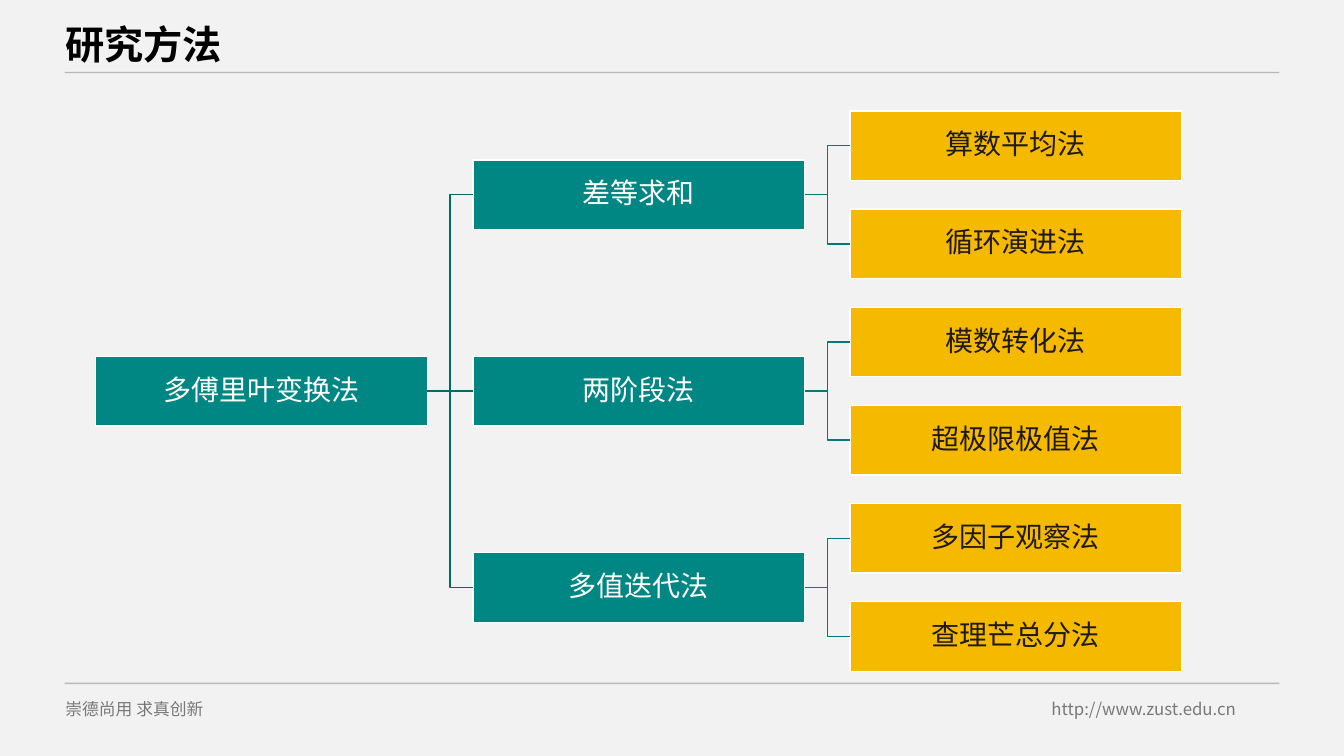
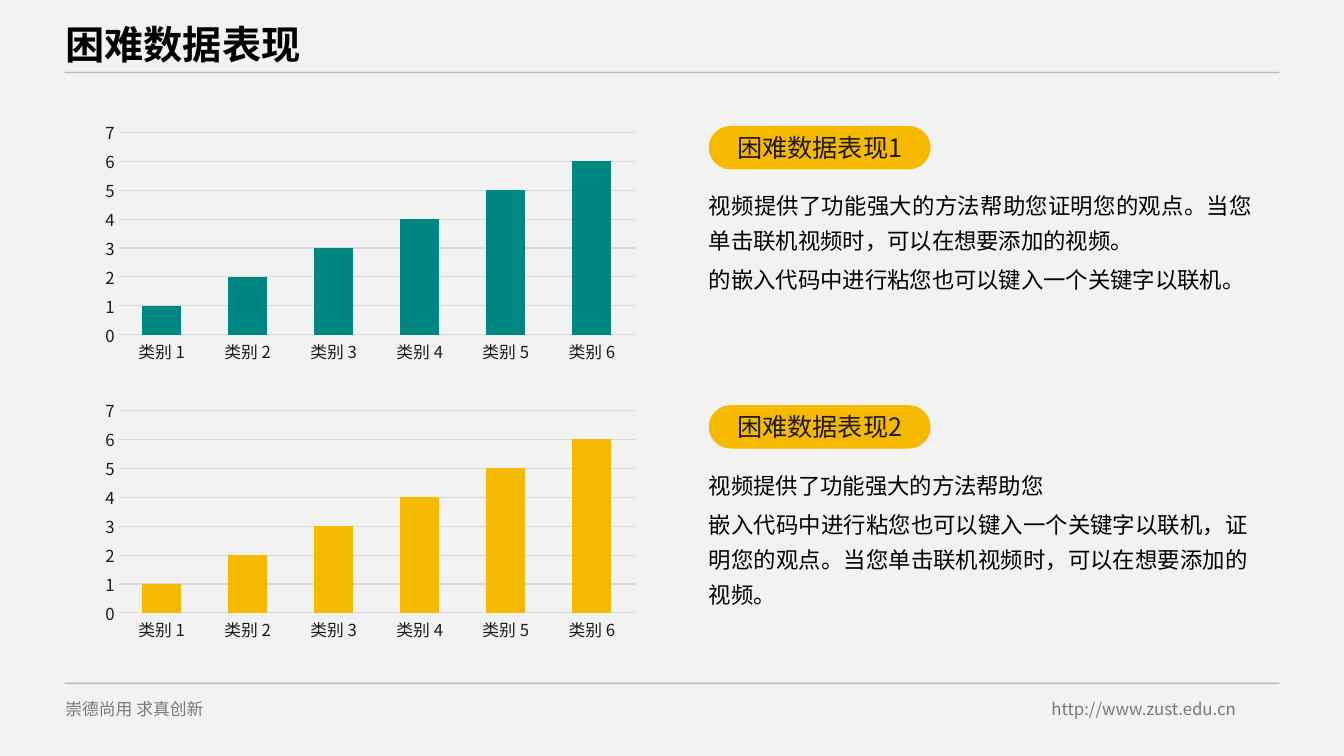
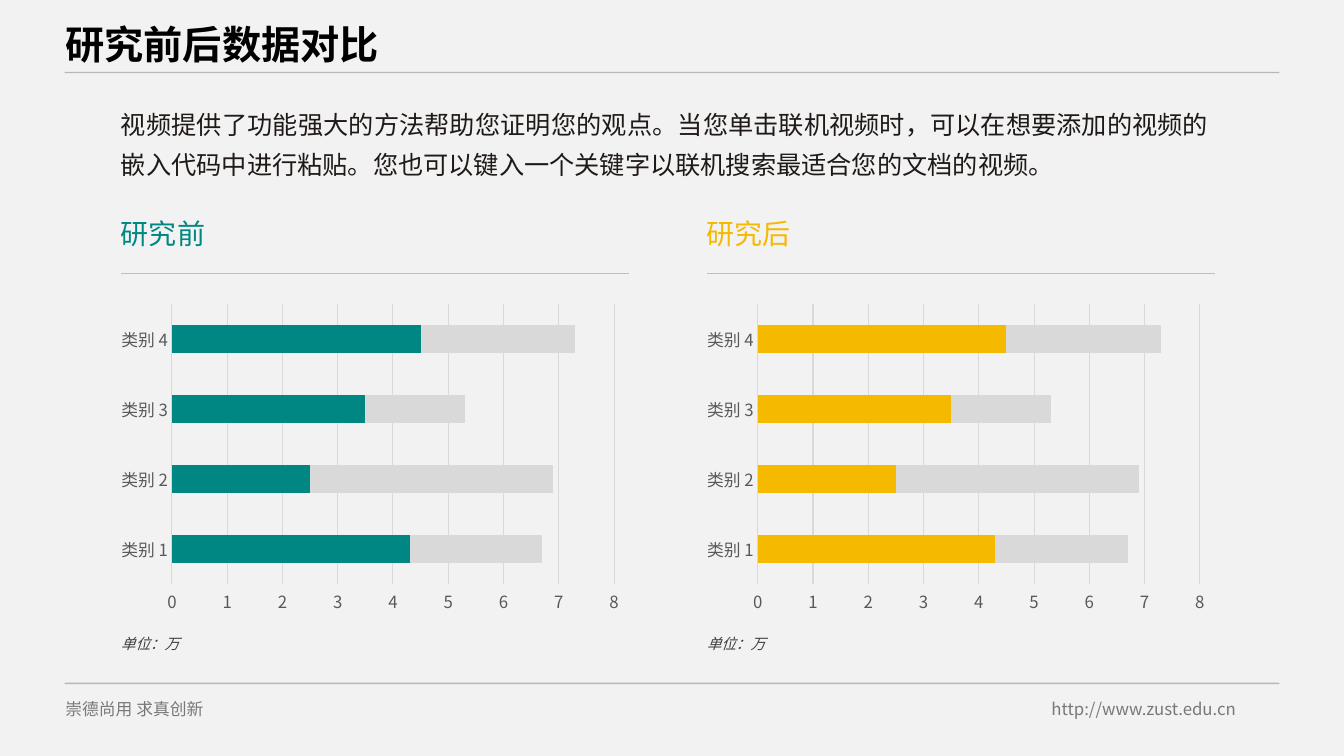
from lxml.etree import SubElement
from pptx import Presentation
from pptx.chart.data import CategoryChartData
from pptx.dml.color import RGBColor
from pptx.enum.chart import XL_CHART_TYPE as ChartType, XL_TICK_MARK as Tick
from pptx.enum.shapes import MSO_CONNECTOR as Connector, MSO_SHAPE as Shape
from pptx.enum.text import MSO_ANCHOR as Anchor, MSO_AUTO_SIZE as AutoSize, PP_ALIGN as Align
from pptx.oxml import parse_xml
from pptx.oxml.ns import nsdecls, qn
from pptx.util import Inches, Pt

FONT = "Noto Sans CJK SC"
TEAL, GOLD, INK = "008784", "F5B900", "1F1A17"
BLACK, WHITE, PAPER = "000000", "FFFFFF", "F2F2F2"
GRID, RULE, AXIS_GREY, UNIT_GREY = "D9D9D9", "BFBFBF", "595959", "3F3F3F"
BRANCH_LINES = ("006C6A", "007B78")
NO_INSETS = dict(margin_left=0, margin_top=0, margin_right=0, margin_bottom=0)
BODY_INSETS = dict(margin_left=0, margin_right=0)
METHODS = ("多傅里叶变换法", [
    ("差等求和", ["算数平均法", "循环演进法"]),
    ("两阶段法", ["模数转化法", "超极限极值法"]),
    ("多值迭代法", ["多因子观察法", "查理芒总分法"]),
])
DIFFICULTIES = [
    (TEAL, "困难数据表现1", [
        "视频提供了功能强大的方法帮助您证明您的观点。当您单击联机视频时，可以在想要添加的视频。",
        "的嵌入代码中进行粘您也可以键入一个关键字以联机。"]),
    (GOLD, "困难数据表现2", [
        "视频提供了功能强大的方法帮助您",
        "嵌入代码中进行粘您也可以键入一个关键字以联机，证明您的观点。当您单击联机视频时，可以在想要添加的视频。"]),
]
SUMMARY = ("视频提供了功能强大的方法帮助您证明您的观点。当您单击联机视频时，可以在想要添加的视频的"
           "嵌入代码中进行粘贴。您也可以键入一个关键字以联机搜索最适合您的文档的视频。")


def rgb(value):
    """Turn a hex string into a colour."""
    return RGBColor.from_string(value)


def apply(target, values):
    """Set each attribute of the target from a dict."""
    for name, value in values.items():
        setattr(target, name, value)


def set_opacity(shape, percent):
    """Make every colour of a shape translucent."""
    for color in shape._element.iter(qn("a:srgbClr")):
        SubElement(color, qn("a:alpha"), val=str(percent * 1000))


def set_east_asian(element):
    """Give East Asian text the same typeface as Latin text."""
    for latin in list(element.iter(qn("a:latin"))):
        latin.addnext(parse_xml(f'<a:ea {nsdecls("a")} typeface="{FONT}"/>'))


def set_font(font, size, color, **values):
    """Format a font."""
    apply(font, dict(name=FONT, size=Pt(size), **values))
    font.color.rgb = rgb(color)


def write(shape, lines, size, color, frame=None, paragraph=None, gap=0, **font):
    """Fill a shape with formatted paragraphs."""
    text = shape.text_frame
    apply(text, dict(word_wrap=True, auto_size=AutoSize.NONE) | (frame or {}))
    for index, line in enumerate(lines):
        item = text.paragraphs[0] if index == 0 else text.add_paragraph()
        apply(item, paragraph or {})
        if index:
            item.space_before = Pt(gap)
        run = item.add_run()
        run.text = line
        set_font(run.font, size, color, **font)
    set_east_asian(shape._element)
    return shape


def add_text(slide, box, lines, size, color, **options):
    """Add a text box."""
    return write(slide.shapes.add_textbox(*map(Inches, box)), lines, size, color, **options)


def add_block(slide, kind, box, fill, line=None):
    """Add a filled shape, outlined on request."""
    block = slide.shapes.add_shape(kind, *map(Inches, box))
    block.shadow.inherit = False
    block.fill.solid()
    block.fill.fore_color.rgb = rgb(fill)
    if line:
        block.line.color.rgb = rgb(line)
        block.line.width = Pt(1)
    else:
        block.line.fill.background()
    return block


def add_line(slide, ends, color, width, kind=Connector.STRAIGHT):
    """Add a connector without shadow."""
    line = slide.shapes.add_connector(kind, *map(Inches, ends))
    line.line.color.rgb = rgb(color)
    line.line.width = Pt(width)
    SubElement(line._element.spPr, qn("a:effectLst"))
    return line


def add_page(deck, heading):
    """Add a slide with its title, rules and footers."""
    slide = deck.slides.add_slide(deck.slide_layouts[5])
    for y in (0.72, 6.78):
        set_opacity(add_line(slide, (0.64, y, 12.69, y), BLACK, 1), 23)
    for x, words in ((10.33, "http://www.zust.edu.cn"), (0.55, "崇德尚用 求真创新")):
        set_opacity(add_text(slide, (x, 6.88, 2.48, 0.3), [words], 12, BLACK,
                             paragraph=dict(alignment=Align.JUSTIFY)), 50)
    title = slide.shapes.title
    apply(title, dict(left=Inches(0.55), top=Inches(0.19), width=Inches(7.87), height=Inches(0.53)))
    write(title, [heading], 28, BLACK, bold=True, frame=dict(vertical_anchor=Anchor.BOTTOM),
          paragraph=dict(alignment=Align.LEFT, line_spacing=0.9))
    return slide


def add_bars(slide, box, kind, series, top, label_color, gap, overlap=0):
    """Add a bar chart from (values, colour) series."""
    data = CategoryChartData()
    data.categories = [f"类别 {n + 1}" for n in range(len(series[0][0]))]
    for number, (values, _) in enumerate(series, 1):
        data.add_series(f"Series {number}", values)
    chart = slide.shapes.add_chart(kind, *map(Inches, box), data).chart
    apply(chart, dict(has_legend=False, has_title=False))
    set_font(chart.font, 10, BLACK)
    plot = chart.plots[0]
    apply(plot, dict(gap_width=gap, overlap=overlap, vary_by_categories=False))
    for bars, (_, color) in zip(plot.series, series):
        bars.format.fill.solid()
        bars.format.fill.fore_color.rgb = rgb(color)
    values, categories = chart.value_axis, chart.category_axis
    for axis in (values, categories):
        apply(axis, dict(major_tick_mark=Tick.NONE, minor_tick_mark=Tick.NONE))
        set_font(axis.tick_labels.font, 12, label_color)
    apply(values, dict(minimum_scale=0, maximum_scale=top, major_unit=1, has_major_gridlines=True))
    values.format.line.fill.background()
    for line in (categories.format.line, values.major_gridlines.format.line):
        line.color.rgb = rgb(GRID)
        line.width = Pt(0.75)
    set_east_asian(chart.element)
    return chart


def place_plot(chart, x, y, w, h):
    """Fix the inner plot area as fractions of the chart."""
    area = chart.element.find(".//" + qn("c:plotArea"))
    for old in area.findall(qn("c:layout")):
        area.remove(old)
    sizes = "".join(f'<c:{name} val="{value}"/>' for name, value in zip("xywh", (x, y, w, h)))
    area.insert(0, parse_xml(
        f'<c:layout {nsdecls("c")}><c:manualLayout><c:layoutTarget val="inner"/>'
        f'<c:xMode val="edge"/><c:yMode val="edge"/>{sizes}</c:manualLayout></c:layout>'))


def add_method(slide, level, top, name, fill, color):
    """Add one box of the method tree."""
    box = add_block(slide, Shape.RECTANGLE, (0.95 + 3.74 * level, top, 3.29, 0.69), fill, WHITE)
    return write(box, [name], 20, color,
                 frame=dict(vertical_anchor=Anchor.MIDDLE) | dict.fromkeys(NO_INSETS, Inches(0.01)),
                 paragraph=dict(alignment=Align.CENTER, line_spacing=0.9))


def join(slide, parent, child, color):
    """Join a parent box to a child box on its right."""
    kind = Connector.STRAIGHT if abs(parent.top - child.top) < Inches(0.01) else Connector.ELBOW
    branch = add_line(slide, (0, 0, 1, 1), color, 1, kind)
    branch.begin_connect(parent, 3)
    branch.end_connect(child, 1)


def build_methods(deck):
    """Build the method tree."""
    slide = add_page(deck, "研究方法")
    first, step = 1.1, 4.87 / 5
    root_name, groups = METHODS
    root = add_method(slide, 0, first + 2.5 * step, root_name, TEAL, WHITE)
    for row, (name, leaves) in enumerate(groups):
        group = add_method(slide, 1, first + (2 * row + 0.5) * step, name, TEAL, WHITE)
        join(slide, root, group, BRANCH_LINES[0])
        for place, leaf_name in enumerate(leaves):
            leaf = add_method(slide, 2, first + (2 * row + place) * step, leaf_name, GOLD, INK)
            join(slide, group, leaf, BRANCH_LINES[1])


def build_difficulties(deck):
    """Build the two column charts with their explanations."""
    slide = add_page(deck, "困难数据表现")
    for row, (color, label, lines) in enumerate(DIFFICULTIES):
        chart = add_bars(slide, (0.91, 1.19 + 2.76 * row, 5.56, 2.59), ChartType.COLUMN_CLUSTERED,
                         [((1, 2, 3, 4, 5, 6), color)], 7, INK, 122)
        place_plot(chart, 0.048, 0.031, 0.921, 0.789)
        top = 1.25 + 2.77 * row
        pill = add_block(slide, Shape.ROUNDED_RECTANGLE, (7.03, top, 2.2, 0.43), GOLD)
        pill.adjustments[0] = 0.5
        write(pill, [label], 18, INK, frame=dict(vertical_anchor=Anchor.MIDDLE),
              paragraph=dict(alignment=Align.CENTER))
        add_text(slide, (7.03, top + 0.53, 5.39 - 0.04 * row, 1.16 + 0.35 * row), lines, 16, BLACK,
                 frame=BODY_INSETS, gap=3,
                 paragraph=dict(alignment=Align.JUSTIFY, line_spacing=1.3))


def build_comparison(deck):
    """Build the before and after charts."""
    slide = add_page(deck, "研究前后数据对比")
    for x, label, color in ((1.2, "研究前", TEAL), (7.01, "研究后", GOLD)):
        series = [((4.3, 2.5, 3.5, 4.5), color), ((2.4, 4.4, 1.8, 2.8), GRID)]
        add_bars(slide, (x - 0.1, 2.95, 5.14, 3.2), ChartType.BAR_STACKED, series, 8, AXIS_GREY, 150, 100)
        tight = dict(word_wrap=False) | NO_INSETS
        add_text(slide, (x, 2.15, 0.84, 0.34), [label], 20, color, frame=tight)
        add_text(slide, (x, 6.3, 0.59, 0.18), ["单位：万"], 10.5, UNIT_GREY, frame=tight, italic=True)
        add_line(slide, (x, 2.71, x + 5.04, 2.71), RULE, 0.5)
    add_text(slide, (1.2, 0.95, 10.89, 0.85), [SUMMARY], 18, INK, frame=dict(margin_left=0),
             paragraph=dict(alignment=Align.JUSTIFY, line_spacing=1.3))


def main():
    """Build and save the presentation."""
    deck = Presentation()
    apply(deck, dict(slide_width=Inches(13.33), slide_height=Inches(7.5)))
    backdrop = deck.slide_master.background.fill
    backdrop.solid()
    backdrop.fore_color.rgb = rgb(PAPER)
    for build in (build_methods, build_difficulties, build_comparison):
        build(deck)
    deck.save("out.pptx")


if __name__ == "__main__":
    main()
